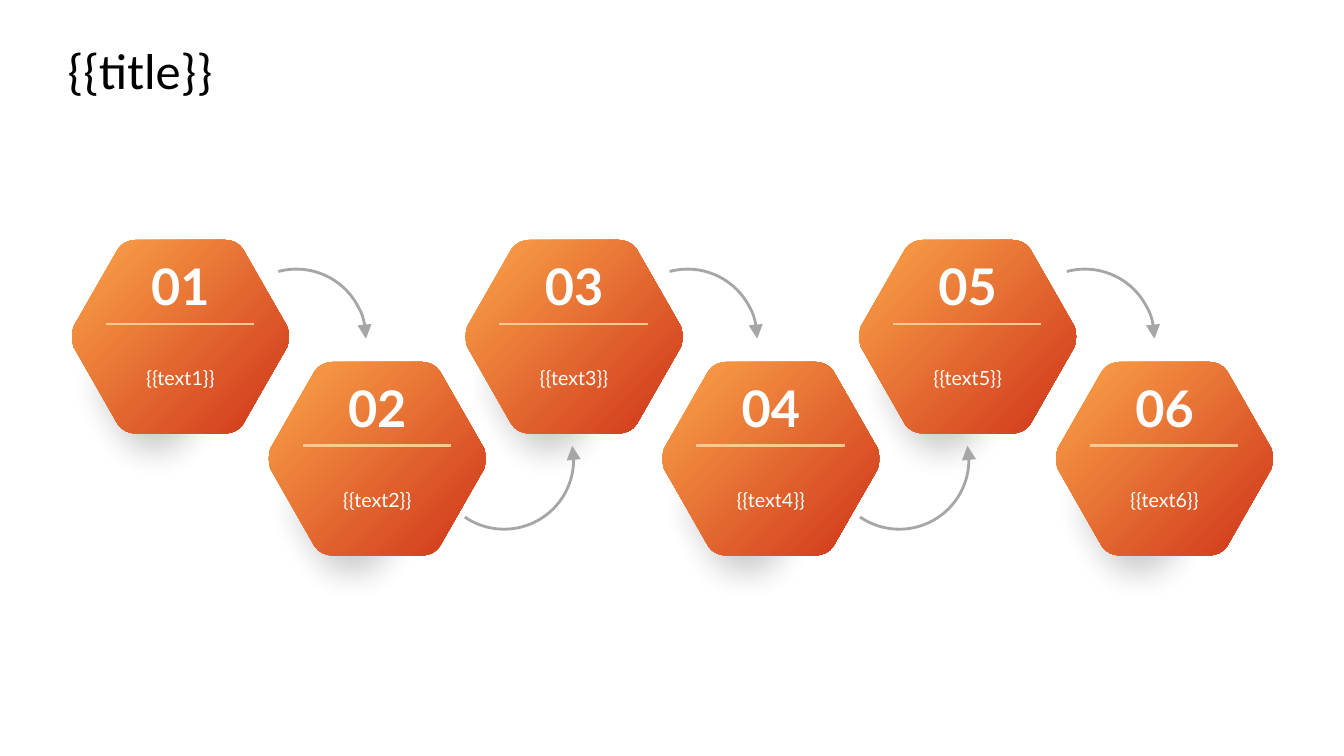
"""Build a six-step hexagon process slide."""
from lxml.etree import SubElement
from pptx import Presentation
from pptx.dml.color import RGBColor
from pptx.enum.shapes import MSO_CONNECTOR as CONN, MSO_SHAPE as SHAPE
from pptx.enum.text import MSO_ANCHOR as ANCHOR, PP_ALIGN as ALIGN
from pptx.oxml.ns import qn
from pptx.util import Inches, Pt

BLACK = RGBColor(0x00, 0x00, 0x00)
WHITE = RGBColor(0xFF, 0xFF, 0xFF)
ORANGE = RGBColor(0xFB, 0xA5, 0x4A)
RED = RGBColor(0xCF, 0x34, 0x1A)
PEACH = RGBColor(0xFD, 0xC9, 0x92)
GRAY = RGBColor(0xA6, 0xA6, 0xA6)

STEPS = 6
LEFT, PITCH = 0.71, 9.76 / 5
TOPS = (2.38, 3.59)
HEX_W, HEX_H = 2.16, 1.92
TOP_LEFT = [(0.64, 0), (0.57, 0), (0.5, 0.03), (0.46, 0.09)]
MID_LEFT = [(0.02, 0.86), (0, 0.92), (0, 1), (0.02, 1.06)]
ARC_LEFTS = (2.25, 4.31, 6.13, 8.23, 10.07)
ARC_SIZE = 1.38
ARC_STYLES = (
    {"top": 2.67, "angles": (255, 0), "end": "a:tailEnd"},
    {"top": 3.87, "angles": (348.5, 124.4), "end": "a:headEnd"},
)
NUMBER_FONT = {"name": "Lato", "size": Pt(36), "bold": True}
LABEL_FONT = {"name": "Lato", "size": Pt(14)}
TITLE_FONT = {"name": "Calibri", "size": Pt(36)}


def corner_points():
    """Return four curve points for each corner, from top left round."""
    bottom_left = [(x, HEX_H - y) for x, y in reversed(TOP_LEFT)]
    half = TOP_LEFT + MID_LEFT + bottom_left
    return half + [(HEX_W - x, HEX_H - y) for x, y in half]


def round_corners(sp):
    """Turn the last three lines of every corner into one curve."""
    lines = list(sp._element.iter(qn("a:lnTo")))
    for k in range(0, len(lines), 4):
        curve = SubElement(lines[k].getparent(), qn("a:cubicBezTo"))
        lines[k].addnext(curve)
        for line in lines[k + 1:k + 4]:
            curve.append(line[0])
            line.getparent().remove(line)


def add_hexagon(shapes, left, top):
    """Draw a rounded hexagon without a line."""
    points = [(Inches(left + x), Inches(top + y)) for x, y in corner_points()]
    builder = shapes.build_freeform(*points[-1])
    builder.add_line_segments(points, close=False)
    sp = builder.convert_to_shape()
    round_corners(sp)
    SubElement(sp._element.find(".//" + qn("a:path")), qn("a:close"))
    sp.shadow.inherit = False
    sp.line.fill.background()
    return sp


def add_shadow(shapes, left, top):
    """Draw a soft, translucent hexagon."""
    sp = add_hexagon(shapes, left, top)
    sp.fill.solid()
    sp.fill.fore_color.rgb = BLACK
    color = sp._element.spPr.find(".//" + qn("a:srgbClr"))
    SubElement(color, qn("a:alpha"), val="22000")
    effects = sp._element.spPr.find(qn("a:effectLst"))
    SubElement(effects, qn("a:softEdge"), rad=str(Inches(0.35)))


def format_text(tf, text, font, color, align):
    """Write one formatted paragraph in a text frame."""
    p = tf.paragraphs[0]
    p.alignment = align
    r = p.add_run()
    r.text = text
    for name, value in font.items():
        setattr(r.font, name, value)
    r.font.color.rgb = color
    frame = {"word_wrap": True, "vertical_anchor": ANCHOR.MIDDLE,
             "margin_left": 0, "margin_right": 0}
    for name, value in frame.items():
        setattr(tf, name, value)


def add_text(shapes, box, text, font):
    """Add a centred white text box."""
    tf = shapes.add_textbox(*map(Inches, box)).text_frame
    tf.margin_top = tf.margin_bottom = 0
    format_text(tf, text, font, WHITE, ALIGN.CENTER)


def add_divider(shapes, left, top, width):
    """Draw the thin rule below a number."""
    line = shapes.add_connector(CONN.STRAIGHT, Inches(left), Inches(top),
                                Inches(left + width), Inches(top))
    line.line.color.rgb = PEACH
    line.line.width = Pt(1.5)
    SubElement(line._element.spPr, qn("a:effectLst"))


def add_step(slide, number, left, top):
    """Group the hexagon, number, rule and label of one step."""
    shapes = slide.shapes.add_group_shape().shapes
    sp = add_hexagon(shapes, left, top)
    sp.fill.gradient()
    sp.fill.gradient_angle = 315
    for stop, position, color in zip(sp.fill.gradient_stops, (0, 1), (ORANGE, RED)):
        stop.position = position
        stop.color.rgb = color
    add_divider(shapes, left + 0.34, top + 0.83, 1.47)
    add_text(shapes, (left + 0.6, top + 0.19, 0.96, 0.52), f"{number:02}", NUMBER_FONT)
    add_text(shapes, (left + 0.49, top + 0.98, 1.18, 0.77),
             f"{{{{text{number}}}}}", LABEL_FONT)


def add_arc(slide, left, top, angles, end):
    """Draw a curved arrow between two steps."""
    sp = slide.shapes.add_shape(SHAPE.ARC, Inches(left), Inches(top),
                                Inches(ARC_SIZE), Inches(ARC_SIZE))
    for k, angle in enumerate(angles):
        sp.adjustments[k] = angle * 0.6
    sp.shadow.inherit = False
    sp.fill.background()
    sp.line.color.rgb = GRAY
    sp.line.width = Pt(2)
    SubElement(sp.line._get_or_add_ln(), qn(end), type="triangle", w="lg", len="lg")


def add_title(slide, text):
    """Place and format the title."""
    title = slide.shapes.title
    place = {"left": 0.67, "top": 0.3, "width": 12, "height": 0.78}
    for name, value in place.items():
        setattr(title, name, Inches(value))
    format_text(title.text_frame, text, TITLE_FONT, BLACK, ALIGN.LEFT)


def main():
    """Build and save the slide."""
    prs = Presentation()
    prs.slide_width, prs.slide_height = Inches(13.33), Inches(7.5)
    s = prs.slides.add_slide(prs.slide_layouts[5])
    places = [(LEFT + i * PITCH, TOPS[i % 2]) for i in range(STEPS)]
    add_title(s, "{{title}}")
    for left, top in places:
        add_shadow(s.shapes, left - 0.25, top + 0.51)
    for number, (left, top) in enumerate(places, 1):
        add_step(s, number, left, top)
    for i, left in enumerate(ARC_LEFTS):
        add_arc(s, left, **ARC_STYLES[i % 2])
    prs.save("out.pptx")


if __name__ == "__main__":
    main()
